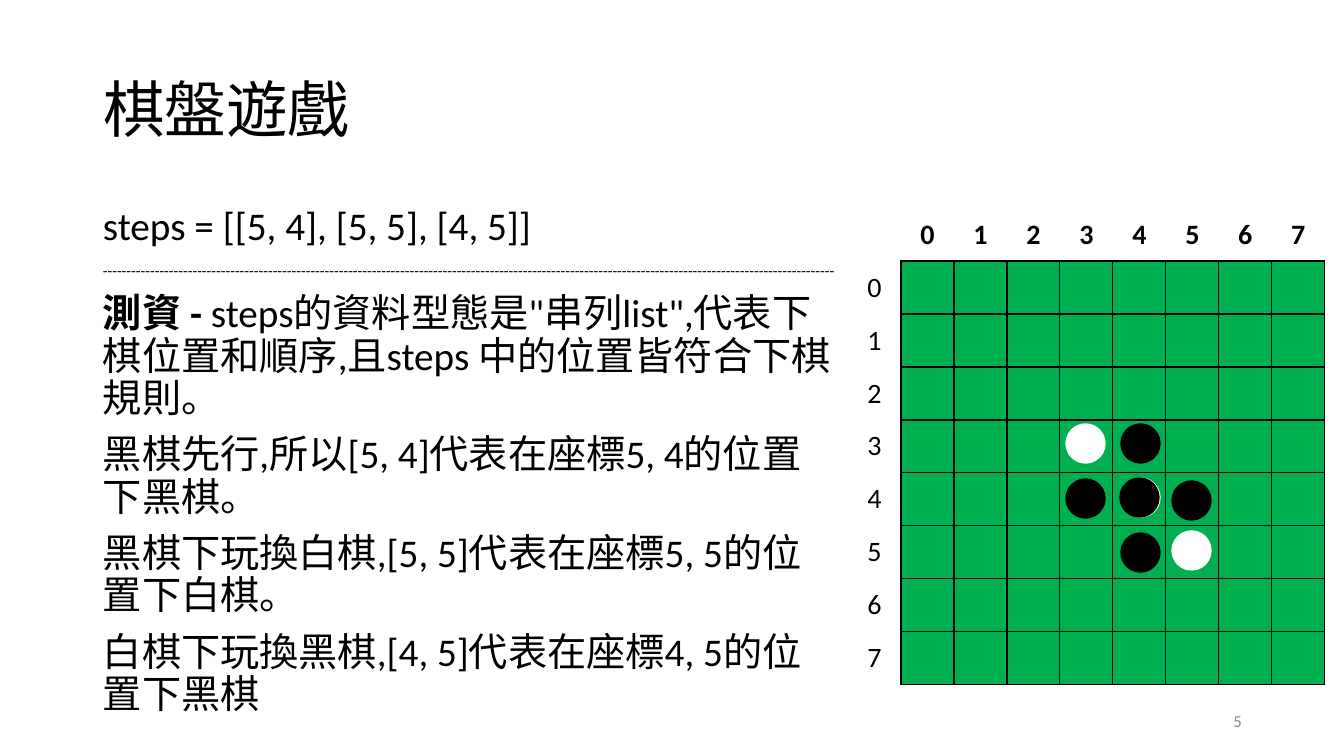
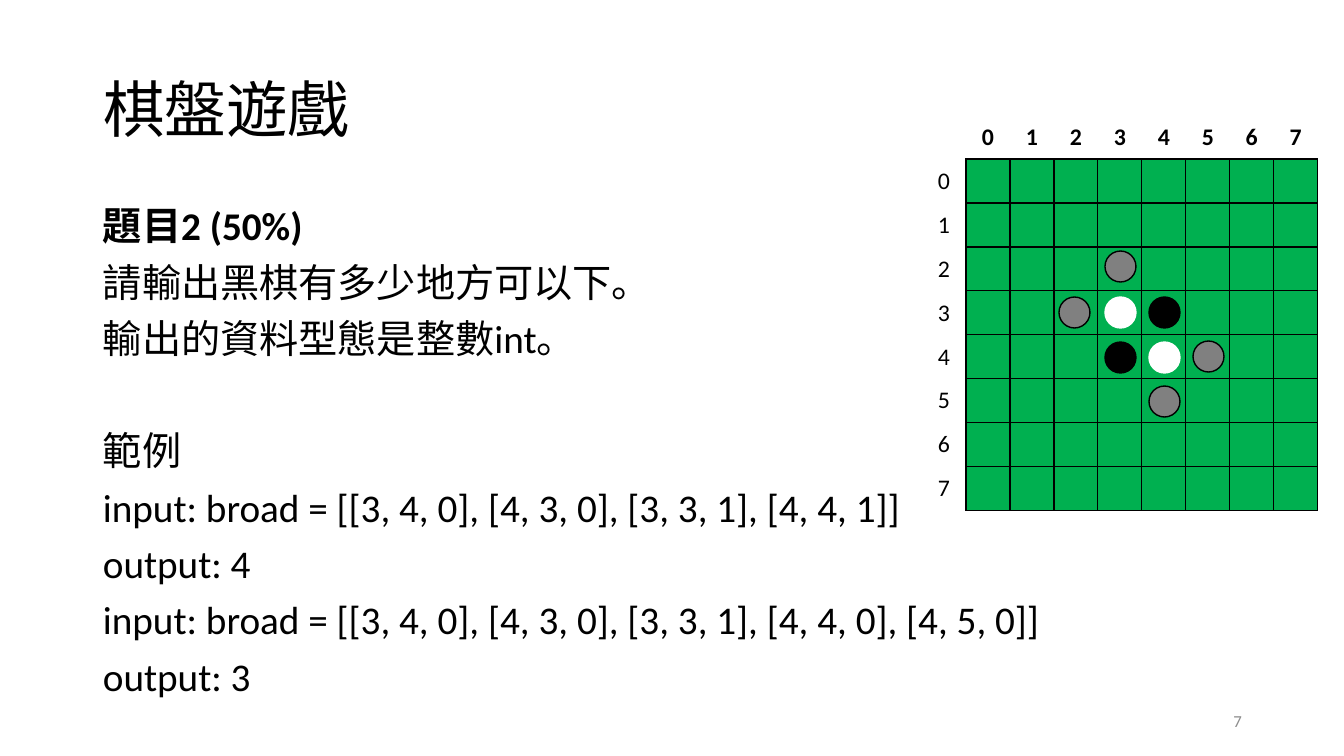
from lxml import etree
from pptx import Presentation
from pptx.dml.color import RGBColor
from pptx.enum.shapes import MSO_SHAPE
from pptx.enum.text import MSO_ANCHOR, MSO_AUTO_SIZE, PP_ALIGN
from pptx.oxml.ns import qn
from pptx.util import Pt

PX = 914400 / 100.8
LEFT, CENTER, RIGHT = PP_ALIGN.LEFT, PP_ALIGN.CENTER, PP_ALIGN.RIGHT
TOP, MIDDLE = MSO_ANCHOR.TOP, MSO_ANCHOR.MIDDLE
NO_FIT = MSO_AUTO_SIZE.NONE
OVAL = MSO_SHAPE.OVAL
FONT = "Calibri"
PLAIN_TABLE = "{2D5ABB26-0587-4C30-8999-92F81FD0307C}"
COLORS = {"black": "000000", "white": "FFFFFF", "hint": "808080",
          "board": "00B050", "number": "8C8C8C"}
RGB = {name: RGBColor.from_string(value) for name, value in COLORS.items()}
TITLE = "棋盤遊戲"
N = 8


def px(*lengths):
    return [round(n * PX) for n in lengths]


def write(tf, paragraphs, size, color="black", align=LEFT, anchor=TOP, **spacing):
    for name, value in {"word_wrap": True, "auto_size": NO_FIT, "vertical_anchor": anchor}.items():
        if name != "auto_size" or hasattr(tf, "add_paragraph"):
            setattr(tf, name, value)
    for i, (runs, changes) in enumerate(paragraphs):
        p = tf.paragraphs[0] if i == 0 else tf.add_paragraph()
        for name, value in {"alignment": align, **spacing, **changes}.items():
            setattr(p, name, value)
        for text, style in runs:
            r = p.add_run()
            r.text = text
            font = {"name": FONT, "size": Pt(size), "bold": False, **style}
            for name, value in font.items():
                setattr(r.font, name, value)
            r.font.color.rgb = RGB[color]


BOLD = {"bold": True}
SLIDES = [
    {
        "number": "5",
        "body": (93, 202, 755, 539),
        "text": [
            ([("steps = [[5, 4], [5, 5], [4, 5]]", {})], {}),
            ([("-" * 155, {"size": Pt(11)})], {}),
            ([("測資 - ", BOLD),
              ("steps的資料型態是\"串列list\",代表下棋位置和順序,且steps 中的位置皆符合下棋規則。"
               .replace(",", ","), {})], {}),
            ([("黑棋先行,所以[5, 4]代表在座標5, 4的位置下黑棋。", {})], {}),
            ([("黑棋下玩換白棋,[5, 5]代表在座標5, 5的位置下白棋。", {})], {}),
            ([("白棋下玩換黑棋,[4, 5]代表在座標4, 5的位置下黑棋", {})], {}),
        ],
        "board": {"left": 848, "top": 208, "cell": 53, "size": 20, "margins": (10, 5), "disc": 39},
        "discs": [(3, 3, "white", "white", -1, -3), (3, 4, "black", "black", 1, -3),
                  (4, 3, "black", "black", -1, -1), (5, 4, "black", "black", 1, 0),
                  (5, 5, "white", "white", -1, -2), (4, 4, "white", "white", 1, -2),
                  (4, 5, "black", "black", -1, 1), (4, 4, "black", "black", 0, -2)],
    },
    {
        "number": "7",
        "body": (93, 202, 1159, 554),
        "text": [
            ([("題目2 (50%)", BOLD)], {}),
            ([("請輸出黑棋有多少地方可以下。", {})], {}),
            ([("輸出的資料型態是整數int。", {})], {}),
            ([("範例", {})], {"space_before": Pt(50)}),
            ([("input: broad = [[3, 4, 0], [4, 3, 0], [3, 3, 1], [4, 4, 1]]", {})], {}),
            ([("output: 4", {})], {}),
            ([("input: broad = [[3, 4, 0], [4, 3, 0], [3, 3, 1], [4, 4, 0], [4, 5, 0]]", {})], {}),
            ([("output: 3", {})], {}),
        ],
        "board": {"left": 922, "top": 115, "cell": 44, "size": 17, "margins": (8, 4), "disc": 31},
        "discs": [(3, 3, "white", "white", 1, 0), (4, 3, "black", "black", 1, 1),
                  (4, 4, "white", "white", 1, 1), (3, 4, "black", "black", 1, 0),
                  (5, 4, "hint", "black", 1, 1), (4, 5, "hint", "black", 1, 0),
                  (2, 3, "hint", "black", 1, -2), (3, 2, "hint", "black", -1, 0)],
    },
]

prs = Presentation()
prs.slide_width, prs.slide_height = px(1344, 756)

for page in SLIDES:
    s = prs.slides.add_slide(prs.slide_layouts[5])
    title = s.shapes.title
    title.left, title.top, title.width, title.height = px(93, 40, 1159, 146)
    write(title.text_frame, [([(TITLE, {})], {})], 44, anchor=MIDDLE, line_spacing=0.9)

    body = s.shapes.add_textbox(*px(*page["body"]))
    write(body.text_frame, page["text"], 28, line_spacing=0.9, space_before=Pt(10))

    number = s.shapes.add_textbox(*px(950, 701, 302, 40))
    write(number.text_frame, [([(page["number"], {})], {})], 12, "number", RIGHT, MIDDLE)

    board = page["board"]
    left, top, side = board["left"], board["top"], board["cell"]
    table = s.shapes.add_table(N + 1, N + 1, *px(left, top, side * (N + 1), side * (N + 1))).table
    table.first_row = table.horz_banding = False
    table._tbl.tblPr.find(qn("a:tableStyleId")).text = PLAIN_TABLE
    for line in [*table.columns]:
        line.width = px(side)[0]
    for line in [*table.rows]:
        line.height = px(side)[0]
    for row in range(N + 1):
        for col in range(N + 1):
            cell = table.cell(row, col)
            inside = row > 0 and col > 0
            cell.fill.solid()
            cell.fill.fore_color.rgb = RGB["board" if inside else "white"]
            cell.margin_left = cell.margin_right = px(board["margins"][0])[0]
            cell.margin_top = cell.margin_bottom = px(board["margins"][1])[0]
            cell.vertical_anchor = MIDDLE
            if not inside and row + col > 0:
                label = [([(str(row + col - 1), {"bold": row == 0})], {})]
                write(cell.text_frame, label, board["size"], align=CENTER, anchor=MIDDLE)
            edges = {"lnL": inside, "lnR": col > 0 and inside or col == 0 and row > 0,
                     "lnT": inside, "lnB": inside or row == 0 and col > 0}
            tc_pr = cell._tc.get_or_add_tcPr()
            for i, (edge, drawn) in enumerate(edges.items()):
                ln = etree.Element(qn(f"a:{edge}"), w=str(Pt(1)))
                if drawn:
                    fill = etree.SubElement(ln, qn("a:solidFill"))
                    etree.SubElement(fill, qn("a:srgbClr"), val=COLORS["black"])
                else:
                    etree.SubElement(ln, qn("a:noFill"))
                tc_pr.insert(i, ln)

    size = board["disc"]
    inset = (side - size) // 2
    for row, col, fill, outline, dx, dy in page["discs"]:
        x = left + side * (col + 1) + inset + dx
        y = top + side * (row + 1) + inset + dy
        disc = s.shapes.add_shape(OVAL, *px(x, y, size, size))
        disc.shadow.inherit = False
        disc.fill.solid()
        disc.fill.fore_color.rgb = RGB[fill]
        disc.line.color.rgb = RGB[outline]
        disc.line.width = Pt(1)

prs.save("out.pptx")
